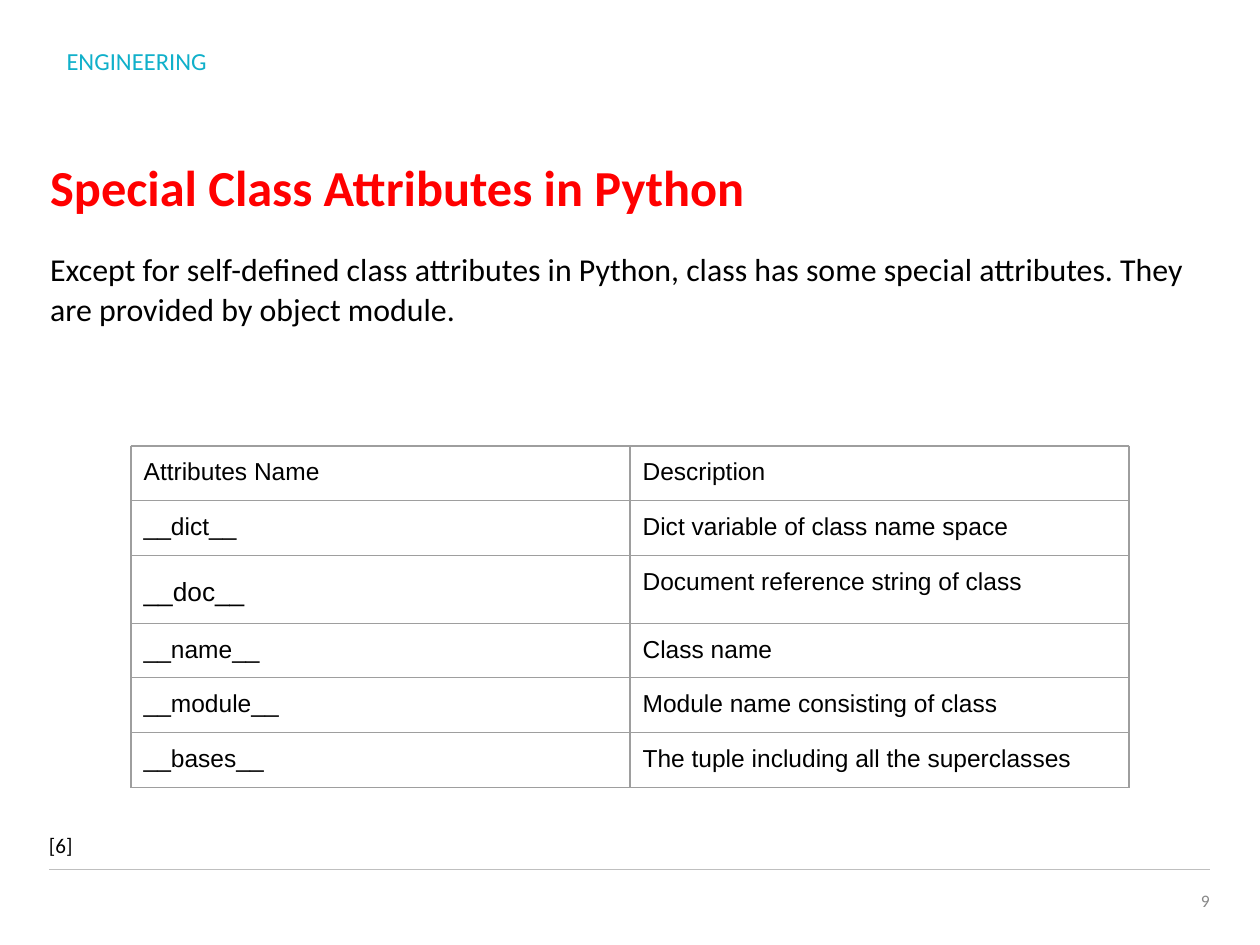
from dataclasses import dataclass, field

from lxml import etree
from pptx import Presentation
from pptx.dml.color import RGBColor
from pptx.enum.shapes import MSO_CONNECTOR
from pptx.enum.text import MSO_ANCHOR, PP_ALIGN
from pptx.oxml.ns import qn
from pptx.slide import Slide
from pptx.table import _Cell
from pptx.text.text import TextFrame
from pptx.util import Inches, Pt

STRAIGHT = MSO_CONNECTOR.STRAIGHT
LEFT, RIGHT = PP_ALIGN.LEFT, PP_ALIGN.RIGHT
TOP, MIDDLE = MSO_ANCHOR.TOP, MSO_ANCHOR.MIDDLE

COLORS = {
    "brand": "10B0CA",
    "title": "FF0000",
    "text": "000000",
    "number": "888888",
    "rule": "BFBFBF",
    "border": "9E9E9E",
}

# The slide is a grid of 100 columns by 75 rows of square units.
COLUMNS, ROWS = 100, 75
UNIT = Inches(0.1)
LINE_WIDTH = Pt(0.75)


@dataclass
class Label:
    text: str
    left: float
    top: float
    width: float
    height: float
    inset: float = 0.5
    style: dict = field(default_factory=dict)


LABELS = [
    Label("ENGINEERING", 4.3, 3.2, 26.6, 3.4, style=dict(size=14, color="brand")),
    Label("Special Class Attributes in Python", 3, 11.9, 94.1, 7,
          style=dict(size=28.8, color="title", bold=True)),
    Label("9", 73.7, 69.5, 23.3, 4,
          style=dict(size=10, color="number", align=RIGHT, anchor=MIDDLE)),
    Label("Except for self-defined class attributes in Python, class has some "
          "special attributes. They are provided by object module.",
          3, 19.2, 94.1, 47.4,
          style=dict(size=18.2, line_spacing=1.05, space_before=6)),
    Label("[6]", 2.9, 65.1, 7.5, 3.1, inset=1, style=dict(size=12)),
]

ATTRIBUTES = [
    ("Attributes Name", "Description"),
    ("__dict__", "Dict variable of class name space"),
    ("__doc__", "Document reference string of class"),
    ("__name__", "Class name"),
    ("__module__", "Module name consisting of class"),
    ("__bases__", "The tuple including all the superclasses"),
]
SPECIAL_STYLES = {"__doc__": dict(size=15, line_spacing=1.35)}
TABLE_LEFT, TABLE_TOP = 10.4, 35.4
COLUMN_WIDTH, ROW_HEIGHT = 39.6, 4.2


def units(count: float) -> int:
    return round(count * UNIT)


def write_text(frame: TextFrame, text: str, *, size: float, font: str = "Calibri",
               color: str = "text", bold: bool = False, align: PP_ALIGN = LEFT,
               anchor: MSO_ANCHOR = TOP, line_spacing: float = 1.0,
               space_before: float = 0) -> None:
    frame.word_wrap = True
    frame.vertical_anchor = anchor
    paragraph = frame.paragraphs[0]
    paragraph.alignment = align
    paragraph.line_spacing = line_spacing
    paragraph.space_before = Pt(space_before)
    run = paragraph.add_run()
    run.text = text
    run.font.name = font
    run.font.size = Pt(size)
    run.font.bold = bold
    run.font.color.rgb = RGBColor.from_string(COLORS[color])


def set_margins(target: TextFrame | _Cell, inset: float) -> None:
    """Set the side margins to one unit, top and bottom to the inset."""
    target.margin_left = target.margin_right = units(1)
    target.margin_top = target.margin_bottom = units(inset)


def add_label(slide: Slide, label: Label) -> None:
    box = slide.shapes.add_textbox(units(label.left), units(label.top),
                                   units(label.width), units(label.height))
    set_margins(box.text_frame, label.inset)
    write_text(box.text_frame, label.text, **label.style)


def add_rule(slide: Slide, left: float, right: float, top: float) -> None:
    rule = slide.shapes.add_connector(STRAIGHT, units(left), units(top),
                                      units(right), units(top))
    rule.line.color.rgb = RGBColor.from_string(COLORS["rule"])
    rule.line.width = LINE_WIDTH
    etree.SubElement(rule._element.spPr, qn("a:effectLst"))


def add_borders(cell: _Cell) -> None:
    properties = cell._tc.get_or_add_tcPr()
    for index, side in enumerate(("lnL", "lnR", "lnT", "lnB")):
        line = etree.Element(qn(f"a:{side}"), w=str(LINE_WIDTH))
        fill = etree.SubElement(line, qn("a:solidFill"))
        etree.SubElement(fill, qn("a:srgbClr"), val=COLORS["border"])
        properties.insert(index, line)


def add_attribute_table(slide: Slide) -> None:
    row_count, column_count = len(ATTRIBUTES), len(ATTRIBUTES[0])
    table = slide.shapes.add_table(
        row_count, column_count, units(TABLE_LEFT), units(TABLE_TOP),
        units(COLUMN_WIDTH * column_count), units(ROW_HEIGHT * row_count)).table
    table.first_row = table.horz_banding = False
    for row, texts in enumerate(ATTRIBUTES):
        for column, text in enumerate(texts):
            cell = table.cell(row, column)
            cell.fill.background()
            add_borders(cell)
            set_margins(cell, 1)
            style = SPECIAL_STYLES.get(text, dict(size=14))
            write_text(cell.text_frame, text, font="Arial", **style)


def main() -> None:
    presentation = Presentation()
    presentation.slide_width = units(COLUMNS)
    presentation.slide_height = units(ROWS)
    slide = presentation.slides.add_slide(presentation.slide_layouts[6])
    add_rule(slide, 3.9, 96, 69)
    for label in LABELS:
        add_label(slide, label)
    add_attribute_table(slide)
    presentation.save("out.pptx")


if __name__ == "__main__":
    main()
